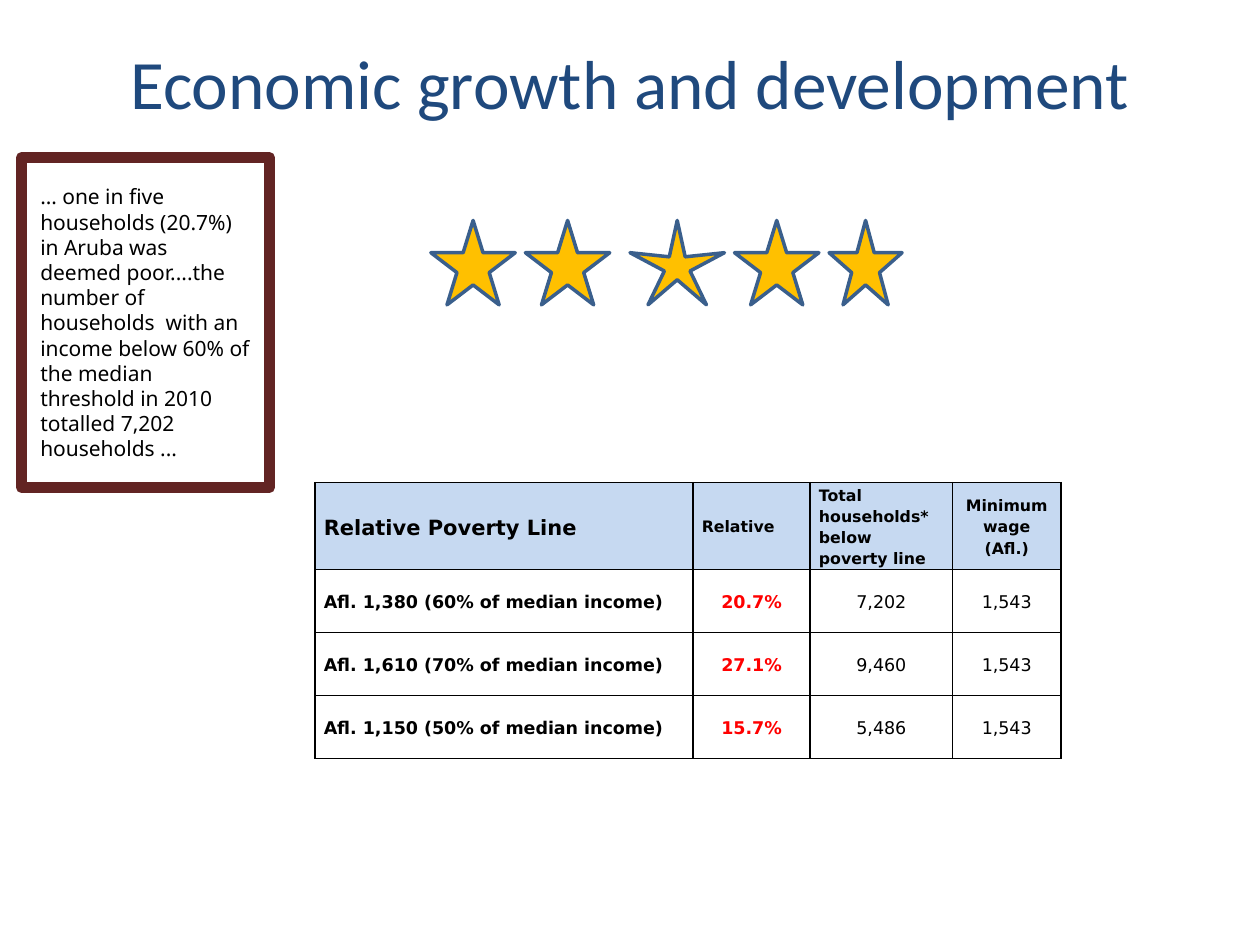
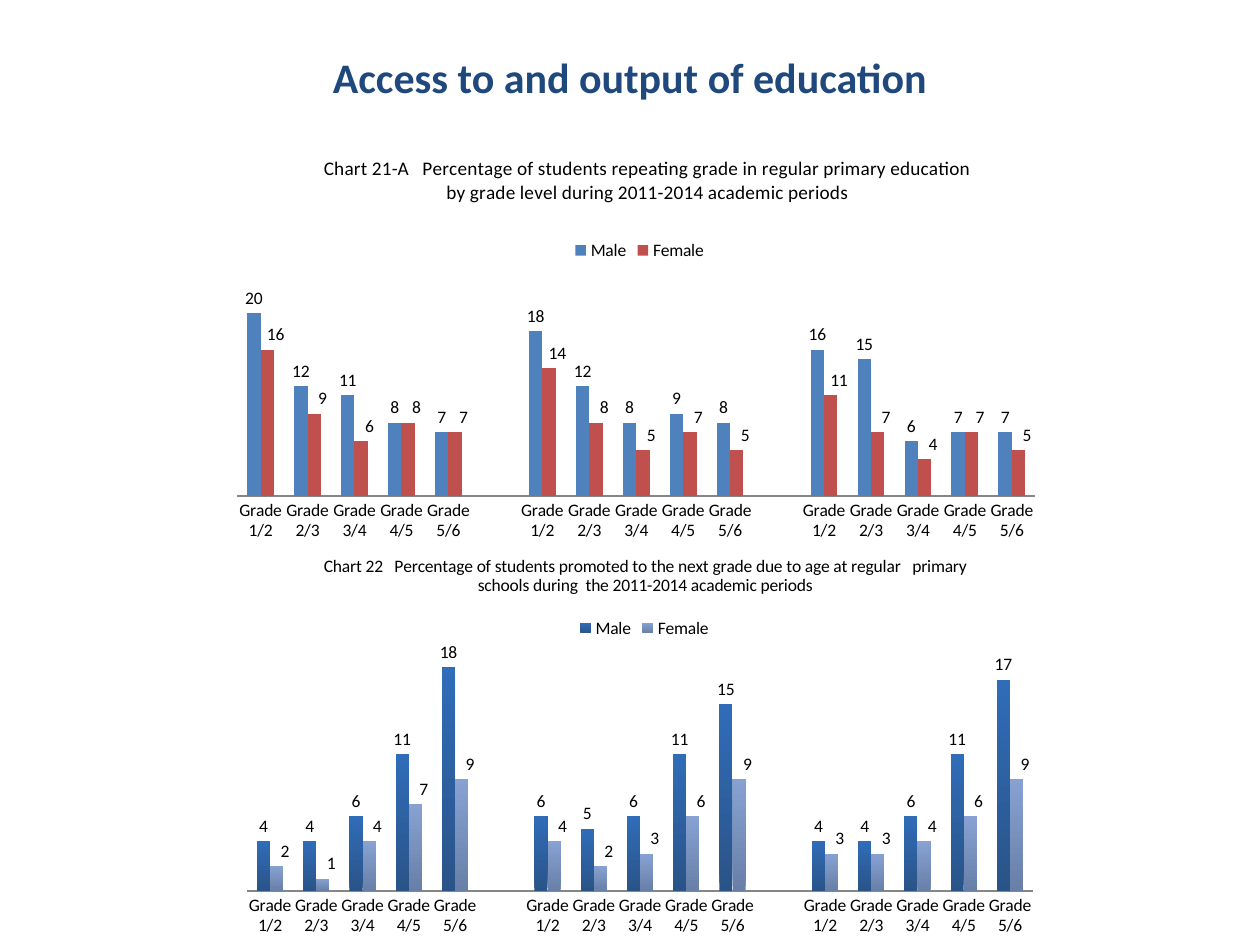
from pptx import Presentation
from pptx.chart.data import CategoryChartData
from pptx.dml.color import RGBColor
from pptx.enum.chart import XL_CHART_TYPE as ChartType, XL_LABEL_POSITION as LabelPosition
from pptx.enum.chart import XL_LEGEND_POSITION as LegendPosition, XL_TICK_MARK as TickMark
from pptx.enum.shapes import MSO_SHAPE as Shape
from pptx.enum.text import MSO_ANCHOR as Anchor, PP_ALIGN as Align
from pptx.oxml import parse_xml
from pptx.oxml.ns import nsdecls
from pptx.util import Inches, Pt

COLORS = {name: RGBColor.from_string(value) for name, value in {
    "title": "1F497D", "text": "000000", "frame": "622423", "header": "C6D9F1",
    "rate": "FF0000", "star": "FFC000", "star_line": "3A5F8C", "axis": "868686",
    "male": "4F81BD", "female": "C0504D", "male_dark": "2A5488", "male_light": "306CB8",
    "female_dark": "6880A8", "female_light": "87A2D2"}.items()}


def write(frame, text, font_name, size, color="text", bold=False, align=Align.LEFT):
    frame.text = text
    frame.word_wrap = True
    frame.vertical_anchor = Anchor.MIDDLE
    para = frame.paragraphs[0]
    para.alignment = align
    font = para.runs[0].font
    font.name, font.size, font.bold = font_name, Pt(size), bold
    font.color.rgb = COLORS[color]
    return para


def set_layout(parent, index, **values):
    for old in parent.xpath("./c:layout"):
        parent.remove(old)
    modes = '<c:xMode val="edge"/><c:yMode val="edge"/>' if "y" in values else ""
    target = '<c:layoutTarget val="inner"/>' if "h" in values else ""
    sizes = "".join(f'<c:{key} val="{value}"/>' for key, value in values.items())
    parent.insert(index, parse_xml(
        f'<c:layout {nsdecls("c")}><c:manualLayout>{target}{modes}{sizes}'
        '</c:manualLayout></c:layout>'))


deck = Presentation()
deck.slide_width, deck.slide_height = Inches(10), Inches(7.5)

pages = []
for title, height, size, bold in [
        ("Economic growth and development", 0.7, 39.6, False),
        ("Access to and output of education", 0.62, 24, True)]:
    page = deck.slides.add_slide(deck.slide_layouts[6])
    box = page.shapes.add_textbox(Inches(0.5), Inches(0.3), Inches(9), Inches(height))
    write(box.text_frame, title, "Calibri", size, "title", bold, Align.CENTER)
    pages.append(page)
growth_page, education_page = pages

poverty_rows = [
    ("Relative Poverty Line", "Relative", "Total households* below poverty line",
     "Minimum wage (Afl.)"),
    ("Afl. 1,380 (60% of median income)", "20.7%", "7,202", "1,543"),
    ("Afl. 1,610 (70% of median income)", "27.1%", "9,460", "1,543"),
    ("Afl. 1,150 (50% of median income)", "15.7%", "5,486", "1,543")]
table = growth_page.shapes.add_table(
    4, 4, Inches(2.5), Inches(3.83), Inches(5.92), Inches(2.18)).table
for column, width in zip(table.columns, (3, 0.93, 1.13, 0.86)):
    column.width = Inches(width)
for row, height in zip(table.rows, (0.67, 0.5, 0.5, 0.5)):
    row.height = Inches(height)
for row_index, values in enumerate(poverty_rows):
    for column_index, text in enumerate(values):
        cell = table.cell(row_index, column_index)
        cell.margin_left = cell.margin_right = Inches(0.07)
        cell.margin_top = cell.margin_bottom = 0
        header = row_index == 0
        size = (12 if column_index == 0 else 9) if header else 10
        color = "rate" if column_index == 1 and not header else "text"
        centered = column_index == 3 or (column_index > 0 and not header)
        para = write(cell.text_frame, text, "DejaVu Sans", size, color,
                     header or column_index < 2, Align.CENTER if centered else Align.LEFT)
        para.line_spacing = 1.15
        cell.vertical_anchor = Anchor.MIDDLE
        properties = cell._tc.get_or_add_tcPr()
        for side in ("lnL", "lnR", "lnT", "lnB"):
            properties.append(parse_xml(
                f'<a:{side} {nsdecls("a")} w="12700"><a:solidFill>'
                f'<a:srgbClr val="{COLORS["text"]}"/></a:solidFill></a:{side}>'))
        if header:
            cell.fill.solid()
            cell.fill.fore_color.rgb = COLORS["header"]
        else:
            cell.fill.background()

quote = growth_page.shapes.add_shape(
    Shape.RECTANGLE, Inches(0.17), Inches(1.25), Inches(1.97), Inches(2.62))
quote.shadow.inherit = False
quote.fill.background()
quote.line.color.rgb = COLORS["frame"]
quote.line.width = Pt(6)
frame = quote.text_frame
frame.margin_left = frame.margin_right = Inches(0.15)
frame.margin_top = frame.margin_bottom = Inches(0.1)
para = write(
    frame, "… one in five households (20.7%) in Aruba was deemed poor....the number of "
    "households  with an income below 60% of the median threshold in 2010 totalled "
    "7,202 households ...", "Noto Sans", 12)
para.space_after = Pt(10)

for left, width in [(3.42, 0.67), (4.17, 0.67), (5, 0.75), (5.83, 0.67), (6.58, 0.58)]:
    star = growth_page.shapes.add_shape(
        Shape.STAR_5_POINT, Inches(left), Inches(1.75), Inches(width), Inches(0.67))
    star.shadow.inherit = False
    star.fill.solid()
    star.fill.fore_color.rgb = COLORS["star"]
    star.line.color.rgb = COLORS["star_line"]
    star.line.width = Pt(2)
    if width == 0.75:
        star.adjustments[0] = 0.136

grades = ["Grade 1/2", "Grade 2/3", "Grade 3/4", "Grade 4/5", "Grade 5/6"]
categories = grades + [""] + grades + [""] + grades
education_charts = [
    {"title": "Chart 21-A   Percentage of students repeating grade in regular primary "
              "education by grade level during 2011-2014 academic periods",
     "at": (1.75, 1.17, 6.6, 3.18), "title_size": 11, "maximum": 25, "gradient": False,
     "title_at": (0.12, 0.01), "legend_at": (0.42, 0.22), "plot_at": (0.3, 0.57),
     "male": (20, 12, 11, 8, 7, None, 18, 12, 8, 9, 8, None, 16, 15, 6, 7, 7),
     "female": (16, 9, 6, 8, 7, None, 14, 8, 5, 7, 5, None, 11, 7, 4, 7, 5)},
    {"title": "Chart 22   Percentage of students promoted to the next grade due to age at "
              "regular   primary schools during  the 2011-2014 academic periods",
     "at": (1.83, 4.21, 6.5, 3.29), "title_size": 10, "maximum": 20, "gradient": True,
     "title_at": (0.11, 0.05), "legend_at": (0.42, 0.2), "plot_at": (0.27, 0.6),
     "male": (4, 4, 6, 11, 18, None, 6, 5, 6, 11, 15, None, 4, 4, 6, 11, 17),
     "female": (2, 1, 4, 7, 9, None, 4, 2, 3, 6, 9, None, 3, 3, 4, 6, 9)}]

for item in education_charts:
    data = CategoryChartData()
    data.categories = categories
    for gender in ("male", "female"):
        data.add_series(gender.capitalize(), item[gender])
    chart = education_page.shapes.add_chart(
        ChartType.COLUMN_CLUSTERED, *map(Inches, item["at"]), data).chart
    chart.font.name, chart.font.size = "Calibri", Pt(10)
    chart.font.color.rgb = COLORS["text"]

    chart.has_title = True
    write(chart.chart_title.text_frame, item["title"], "Calibri", item["title_size"],
          align=Align.CENTER)
    left, top = item["title_at"]
    set_layout(chart.chart_title._element, 1, x=left, y=top)

    chart.has_legend = True
    chart.legend.position = LegendPosition.TOP
    chart.legend.include_in_layout = False
    left, top = item["legend_at"]
    set_layout(chart.legend._element, 1, x=left, y=top)

    top, height = item["plot_at"]
    set_layout(chart._chartSpace.xpath("./c:chart/c:plotArea")[0], 0,
               x=0.02, y=top, w=0.96, h=height)

    chart.value_axis.visible = False
    chart.value_axis.has_major_gridlines = False
    chart.value_axis.minimum_scale = 0
    chart.value_axis.maximum_scale = item["maximum"]
    chart.category_axis.major_tick_mark = TickMark.NONE
    chart.category_axis.format.line.color.rgb = COLORS["axis"]

    plot = chart.plots[0]
    plot.gap_width, plot.overlap, plot.vary_by_categories = 150, 0, False
    for gender, series in zip(("male", "female"), plot.series):
        fill = series.format.fill
        if item["gradient"]:
            fill.gradient()
            fill.gradient_angle = 90
            for stop, shade in zip(fill.gradient_stops, ("dark", "light")):
                stop.color.rgb = COLORS[f"{gender}_{shade}"]
        else:
            fill.solid()
            fill.fore_color.rgb = COLORS[gender]
        labels = series.data_labels
        labels.show_value = True
        labels.position = LabelPosition.OUTSIDE_END

    for index, value in enumerate(item["female"]):
        if value is not None:
            series.points[index].data_label.position = LabelPosition.OUTSIDE_END
    for label in series._element.xpath("./c:dLbls/c:dLbl"):
        set_layout(label, 1, x=0.01)

deck.save("out.pptx")
